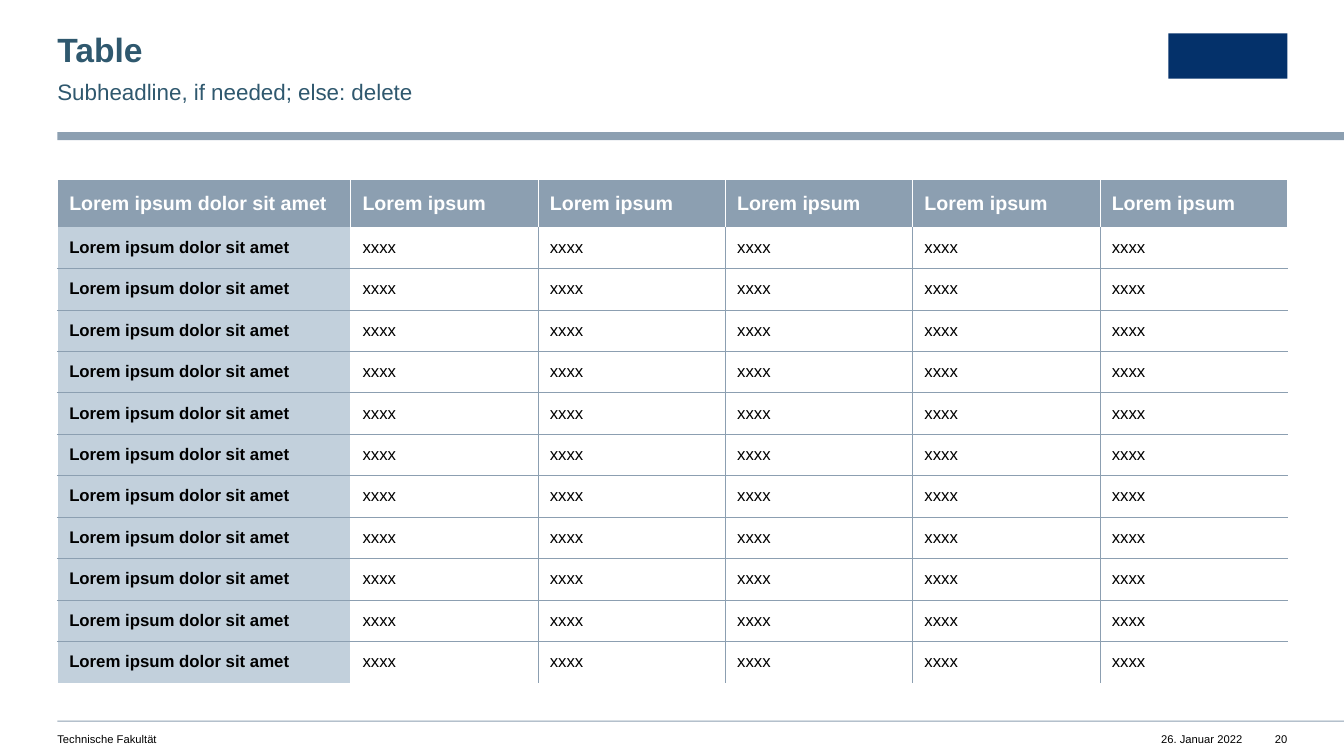
from lxml import etree
from pptx import Presentation
from pptx.dml.color import RGBColor
from pptx.enum import shapes, text
from pptx.oxml import ns
from pptx.util import Pt

FONT = "Arial"
STEEL, PALE, PETROL, NAVY = "8C9FB1", "C2D0DC", "2F586E", "04316A"
WHITE, BLACK = "FFFFFF", "000000"
SLIDE_WIDTH, SLIDE_HEIGHT = 960, 540
MARGIN = 41
CONTENT_WIDTH = 878.5
FIRST_COLUMN, HEADER_ROW = 209.5, 33.6
HEADINGS = ["Lorem ipsum dolor sit amet"] + ["Lorem ipsum"] * 5
BODY_ROWS = [["Lorem ipsum dolor sit amet"] + ["xxxx"] * 5] * 11


def color(hex_value):
    return RGBColor.from_string(hex_value)


def format_font(paragraph, size, hex_value, bold=False):
    font = paragraph.font
    font.name, font.size, font.bold = FONT, Pt(size), bold
    font.color.rgb = color(hex_value)


def add_bar(slide, left, top, width, height, hex_value):
    bar = slide.shapes.add_shape(
        shapes.MSO_SHAPE.RECTANGLE, Pt(left), Pt(top), Pt(width), Pt(height))
    bar.shadow.inherit = False
    bar.fill.solid()
    bar.fill.fore_color.rgb = color(hex_value)
    bar.line.fill.background()


def fill_text(shape, box, content, size, hex_value, bold=False, wrap=True):
    """Place a text shape in its box without insets and return its paragraph."""
    shape.left, shape.top, shape.width, shape.height = map(Pt, box)
    frame = shape.text_frame
    frame.margin_left = frame.margin_top = 0
    frame.margin_right = frame.margin_bottom = 0
    frame.auto_size = text.MSO_AUTO_SIZE.NONE
    frame.vertical_anchor = text.MSO_ANCHOR.TOP
    frame.word_wrap = wrap
    frame.text = content
    paragraph = frame.paragraphs[0]
    paragraph.alignment = text.PP_ALIGN.LEFT
    paragraph.space_before = Pt(0)
    format_font(paragraph, size, hex_value, bold)
    return paragraph


def add_header(slide, left, top, width):
    title, subheadline = slide.placeholders
    paragraph = fill_text(title, (left, top, 539, 26), "Table", 24, PETROL, bold=True)
    paragraph.line_spacing = 0.9

    paragraph = fill_text(subheadline, (left, top + 30, 539, 19.5),
                          "Subheadline, if needed; else: delete", 16, PETROL)
    paragraph.line_spacing = 1.1
    paragraph.space_after = Pt(12)
    properties = paragraph._p.get_or_add_pPr()
    properties.set("marL", "0")
    properties.set("indent", "0")
    etree.SubElement(properties, ns.qn("a:buNone"))
    # Paragraph defaults must follow the bullet setting in the schema
    properties.append(properties.find(ns.qn("a:defRPr")))

    add_bar(slide, left + width - 85, top, 85, 32.4, NAVY)
    add_bar(slide, left, top + 70.5, SLIDE_WIDTH - left, 5.8, STEEL)


def add_footer(slide, left, top, width):
    add_bar(slide, left, top, SLIDE_WIDTH - left, 0.7, STEEL)
    right = left + width
    entries = [
        ("Technische Fakultät", left, 430, text.PP_ALIGN.LEFT),
        ("26. Januar 2022", right - 99, 67, text.PP_ALIGN.RIGHT),
        ("20", right - 15, 15, text.PP_ALIGN.RIGHT),
    ]
    for content, entry_left, entry_width, alignment in entries:
        box = (entry_left, top + 8, entry_width, 9.4)
        shape = slide.shapes.add_textbox(*map(Pt, box))
        paragraph = fill_text(shape, box, content, 8, BLACK)
        paragraph.alignment = alignment


def set_borders(cell, **borders):
    """Set each side to a (colour, width) pair; sides left out have no line."""
    properties = cell._tc.get_or_add_tcPr()
    for side in "LRTB":
        line = etree.SubElement(properties, ns.qn(f"a:ln{side}"))
        if side in borders:
            hex_value, width = borders[side]
            line.set("w", str(Pt(width)))
            fill = etree.SubElement(line, ns.qn("a:solidFill"))
            etree.SubElement(fill, ns.qn("a:srgbClr"), val=hex_value)
        else:
            etree.SubElement(line, ns.qn("a:noFill"))


def cell_borders(row, column, last_row, last_column):
    edge, header_line, body_line = (WHITE, 1), (WHITE, 0.5), (STEEL, 0.25)
    inner = header_line if row == 0 else body_line
    borders = {
        "L": edge if column == 0 or (row and column == 1) else inner,
        "R": edge if column == last_column or (row and column == 0) else inner,
    }
    if row == 0:
        borders["T"] = edge
    elif row > 1:
        borders["T"] = body_line
    if 0 < row < last_row:
        borders["B"] = body_line
    return borders


def format_cell(cell, content, row, column):
    cell.text = content
    cell.vertical_anchor = text.MSO_ANCHOR.MIDDLE
    cell.margin_left = cell.margin_right = Pt(8.5)
    cell.margin_top = cell.margin_bottom = Pt(2.8)
    if row and column:
        cell.fill.background()
    else:
        cell.fill.solid()
        cell.fill.fore_color.rgb = color(PALE if row else STEEL)
    format_font(cell.text_frame.paragraphs[0], 12 if row else 14,
                BLACK if row else WHITE, bold=row == 0 or column == 0)


def add_lorem_table(slide, left, top, width, height):
    rows = [HEADINGS] + BODY_ROWS
    last_row, last_column = len(rows) - 1, len(HEADINGS) - 1
    frame = slide.shapes.add_table(
        len(rows), len(HEADINGS), Pt(left), Pt(top), Pt(width), Pt(height))
    table = frame.table
    table.first_row = table.horz_banding = False
    for index, column in enumerate(table.columns):
        column.width = Pt((width - FIRST_COLUMN) / last_column if index else FIRST_COLUMN)
    for index, row in enumerate(table.rows):
        row.height = Pt((height - HEADER_ROW) / last_row if index else HEADER_ROW)
    for row, contents in enumerate(rows):
        for column, content in enumerate(contents):
            cell = table.cell(row, column)
            set_borders(cell, **cell_borders(row, column, last_row, last_column))
            format_cell(cell, content, row, column)


def main():
    presentation = Presentation()
    presentation.slide_width = Pt(SLIDE_WIDTH)
    presentation.slide_height = Pt(SLIDE_HEIGHT)
    slide = presentation.slides.add_slide(presentation.slide_layouts[1])
    add_header(slide, MARGIN, 23.8, CONTENT_WIDTH)
    add_lorem_table(slide, MARGIN, 128.4, CONTENT_WIDTH, 359.2)
    add_footer(slide, MARGIN, 514.8, CONTENT_WIDTH)
    presentation.save("out.pptx")


if __name__ == "__main__":
    main()
